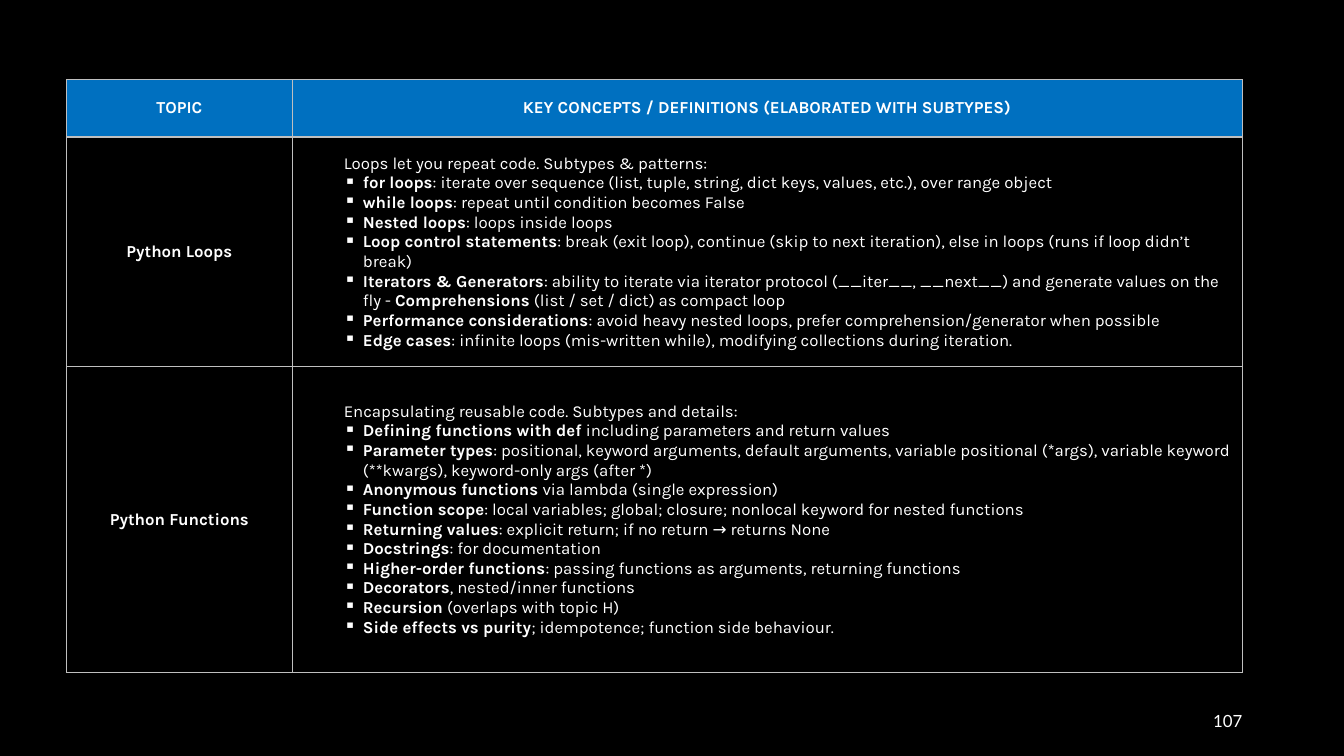
"""Build a slide with a table of Python loop and function concepts."""
from lxml.etree import SubElement
from pptx import Presentation
from pptx.dml.color import RGBColor
from pptx.enum.text import MSO_ANCHOR, PP_ALIGN
from pptx.oxml.ns import qn
from pptx.util import Pt

PX = 9144
THEME = {
    "back": "000000", "text": "FFFFFF", "head": "0070C0", "rule": "BFBFBF",
    "body": "Karla", "page": "Lato", "size": 12, "line": 1,
}
CELL = {
    "vertical_anchor": MSO_ANCHOR.MIDDLE,
    "margin_left": PX, "margin_right": PX, "margin_top": 0, "margin_bottom": 0,
}
WIDTHS = [224, 942]
HEIGHTS = [57, 228, 303]
HEADS = ["TOPIC", "KEY CONCEPTS / DEFINITIONS (ELABORATED WITH SUBTYPES)"]
TOPICS = [
    ("Python Loops", "Loops let you repeat code. Subtypes & patterns:", [
        ("for loops", ": iterate over sequence (list, tuple, string, dict keys, values, etc.), over range object"),
        ("while loops", ": repeat until condition becomes False"),
        ("Nested loops", ": loops inside loops"),
        ("Loop control statements", ": break (exit loop), continue (skip to next iteration), "
         "else in loops (runs if loop didn’t break)"),
        ("Iterators & Generators", ": ability to iterate via iterator protocol (__iter__, __next__) "
         "and generate values on the fly - ", "Comprehensions", " (list / set / dict) as compact loop"),
        ("Performance considerations", ": avoid heavy nested loops, prefer comprehension/generator when possible"),
        ("Edge cases", ": infinite loops (mis-written while), modifying collections during iteration."),
    ]),
    ("Python Functions", "Encapsulating reusable code. Subtypes and details:", [
        ("Defining functions with def", " including parameters and return values"),
        ("Parameter types", ": positional, keyword arguments, default arguments, variable positional (*args), "
         "variable keyword (**kwargs), keyword-only args (after *)"),
        ("Anonymous functions", " via lambda (single expression)"),
        ("Function scope", ": local variables; global; closure; nonlocal keyword for nested functions"),
        ("Returning values", ": explicit return; if no return → returns None"),
        ("Docstrings", ": for documentation"),
        ("Higher-order functions", ": passing functions as arguments, returning functions"),
        ("Decorators", ", nested/inner functions"),
        ("Recursion", " (overlaps with topic H)"),
        ("Side effects vs purity", "; idempotence; function side behaviour."),
    ]),
]


def write(par, parts, bold=True, face="body", align=PP_ALIGN.LEFT):
    """Add runs whose weight alternates, starting with the given one."""
    par.alignment = align
    for part in parts:
        run = par.add_run()
        run.text = part
        run.font.name = THEME[face]
        run.font.size = Pt(THEME["size"])
        run.font.bold = bold
        run.font.color.rgb = RGBColor.from_string(THEME["text"])
        bold = not bold


def indent(par, left, hang=0, mark=None):
    """Set the indents of a paragraph and its bullet."""
    par.level = 1
    props = par._p.get_or_add_pPr()
    props.set("marL", str(left * PX))
    props.set("indent", str(-hang * PX))
    if mark:
        SubElement(props, qn("a:buChar"), char=mark)
    else:
        SubElement(props, qn("a:buNone"))


deck = Presentation()
deck.slide_width = 1333 * PX
deck.slide_height = 750 * PX
slide = deck.slides.add_slide(deck.slide_layouts[6])
slide.background.fill.solid()
slide.background.fill.fore_color.rgb = RGBColor.from_string(THEME["back"])

page = slide.shapes.add_textbox(942 * PX, 695 * PX, 300 * PX, 40 * PX).text_frame
page.word_wrap = True
page.vertical_anchor = MSO_ANCHOR.MIDDLE
write(page.paragraphs[0], ["107"], False, "page", PP_ALIGN.RIGHT)

table = slide.shapes.add_table(
    len(HEIGHTS), len(WIDTHS), 66 * PX, 79 * PX, sum(WIDTHS) * PX, sum(HEIGHTS) * PX
).table
table.horz_banding = False
for col, width in zip(table.columns, WIDTHS):
    col.width = width * PX
for row, height in zip(table.rows, HEIGHTS):
    row.height = height * PX

for cell in table.iter_cells():
    for key, value in CELL.items():
        setattr(cell, key, value)
    props = cell._tc.get_or_add_tcPr()
    for side in "LRTB":
        line = SubElement(props, qn(f"a:ln{side}"), w=str(Pt(THEME["line"])))
        SubElement(SubElement(line, qn("a:solidFill")), qn("a:srgbClr"), val=THEME["rule"])
    cell.fill.background()

for cell, head in zip(table.rows[0].cells, HEADS):
    cell.fill.solid()
    cell.fill.fore_color.rgb = RGBColor.from_string(THEME["head"])
    write(cell.text_frame.paragraphs[0], [head], align=PP_ALIGN.CENTER)

for num, (topic, intro, items) in enumerate(TOPICS, 1):
    name, notes = [cell.text_frame for cell in table.rows[num].cells]
    write(name.paragraphs[0], [topic], align=PP_ALIGN.CENTER)
    indent(notes.paragraphs[0], 50)
    write(notes.paragraphs[0], [intro], False)
    for item in items:
        par = notes.add_paragraph()
        indent(par, 69, 19, "▪")
        write(par, item)

deck.save("out.pptx")
